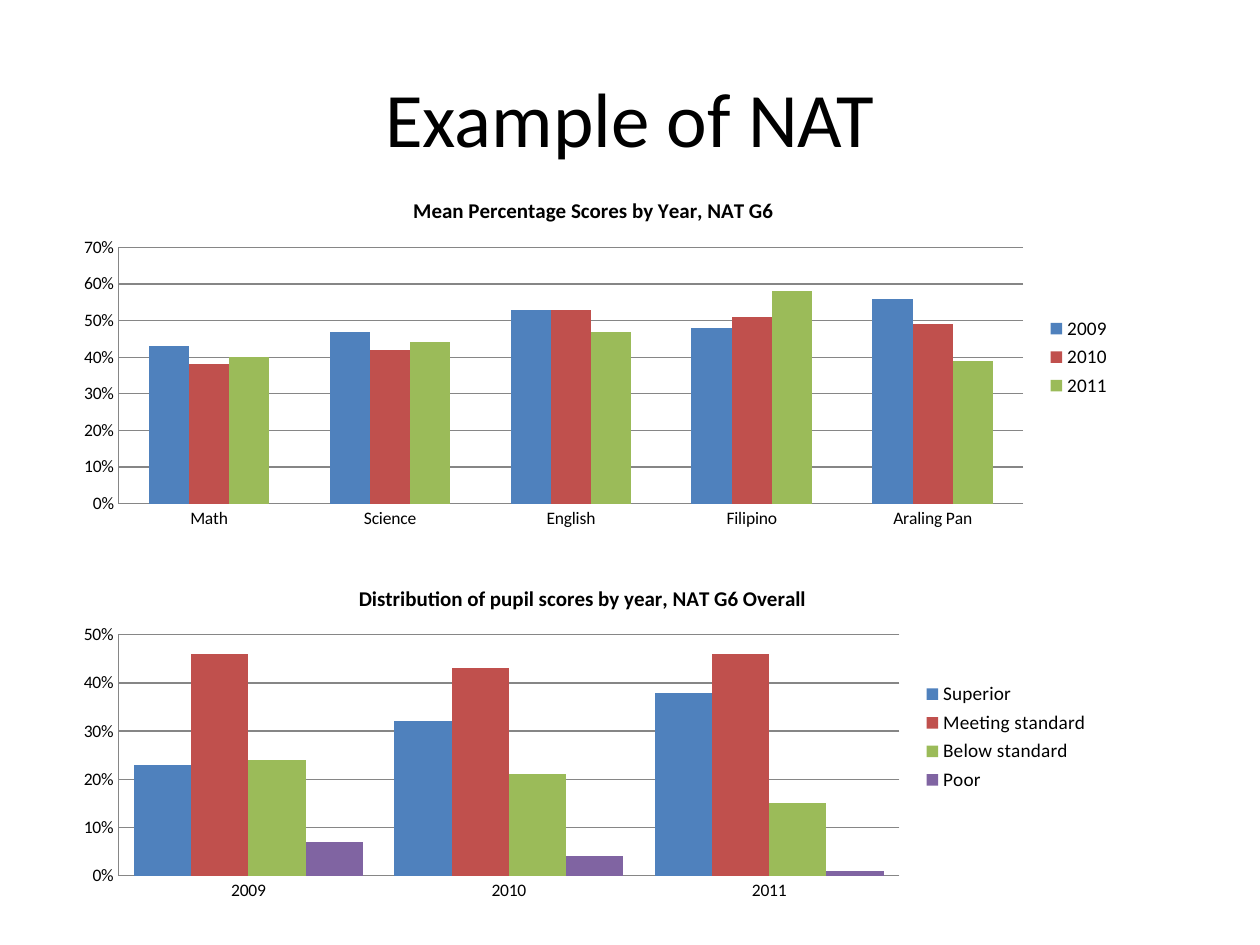
from dataclasses import dataclass
from pptx import Presentation
from pptx.chart.data import CategoryChartData
from pptx.dml.color import RGBColor
from pptx.enum import chart as ch, text
from pptx.util import Pt

TITLE = ("Example of NAT", (36, 21.6, 648, 90))
CHARTS = [
    dict(title="Distribution of pupil scores by year, NAT G6 Overall",
         box=(36, 324, 594, 194.4), gap=55, top=0.5,
         cats=["2009", "2010", "2011"],
         series=[("Superior", (0.23, 0.32, 0.38)),
                 ("Meeting standard", (0.46, 0.43, 0.46)),
                 ("Below standard", (0.24, 0.21, 0.15)),
                 ("Poor", (0.07, 0.04, 0.01))]),
    dict(title="Mean Percentage Scores by Year, NAT G6",
         box=(36, 102.24, 606.24, 203.76), gap=150, top=0.7,
         cats=["Math", "Science", "English", "Filipino", "Araling Pan"],
         series=[("2009", (0.43, 0.47, 0.53, 0.48, 0.56)),
                 ("2010", (0.38, 0.42, 0.53, 0.51, 0.49)),
                 ("2011", (0.4, 0.44, 0.47, 0.58, 0.39))]),
]


@dataclass(frozen=True)
class Theme:
    font: str = "Calibri"
    ink: str = "000000"
    line: str = "868686"
    bars: tuple = ("4F81BD", "C0504D", "9BBB59", "8064A2")
    title: int = 44
    chart_title: int = 12
    legend: int = 11
    axis: int = 10


T = Theme()


def style(font, size, bold=False):
    font.name, font.size, font.bold = T.font, Pt(size), bold
    font.color.rgb = RGBColor.from_string(T.ink)


def rule(fmt):
    fmt.line.color.rgb = RGBColor.from_string(T.line)
    fmt.line.width = Pt(0.75)


def add_title(s, words, box):
    sp = s.shapes.add_textbox(*map(Pt, box))
    tf = sp.text_frame
    tf.word_wrap = True
    tf.vertical_anchor = text.MSO_ANCHOR.MIDDLE
    p = tf.paragraphs[0]
    p.alignment = text.PP_ALIGN.CENTER
    r = p.add_run()
    r.text = words
    style(r.font, T.title)


def add_columns(s, spec_):
    data = CategoryChartData(number_format="0%")
    data.categories = spec_["cats"]
    for name, vals in spec_["series"]:
        data.add_series(name, vals)
    chart = s.shapes.add_chart(ch.XL_CHART_TYPE.COLUMN_CLUSTERED,
                               *map(Pt, spec_["box"]), data).chart
    style(chart.font, T.axis)
    chart.has_title = True
    r = chart.chart_title.text_frame.paragraphs[0].add_run()
    r.text = spec_["title"]
    style(r.font, T.chart_title, True)
    chart.chart_title.include_in_layout = False

    chart.has_legend = True
    chart.legend.position = ch.XL_LEGEND_POSITION.RIGHT
    chart.legend.include_in_layout = False
    style(chart.legend.font, T.legend)

    for axis in (chart.category_axis, chart.value_axis):
        axis.major_tick_mark = axis.minor_tick_mark = ch.XL_TICK_MARK.NONE
        rule(axis.format)
    axis = chart.value_axis
    axis.minimum_scale, axis.maximum_scale, axis.major_unit = 0, spec_["top"], 0.1
    axis.tick_labels.number_format = "0%"
    axis.tick_labels.number_format_is_linked = False
    axis.has_major_gridlines = True
    rule(axis.major_gridlines.format)

    plot = chart.plots[0]
    plot.gap_width, plot.overlap, plot.vary_by_categories = spec_["gap"], 0, False
    for series, color in zip(plot.series, T.bars):
        series.format.fill.solid()
        series.format.fill.fore_color.rgb = RGBColor.from_string(color)
        series.invert_if_negative = False


prs = Presentation()
prs.slide_width, prs.slide_height = Pt(720), Pt(540)
s = prs.slides.add_slide(prs.slide_layouts[6])
add_title(s, *TITLE)
for item in CHARTS:
    add_columns(s, item)
prs.save("out.pptx")
